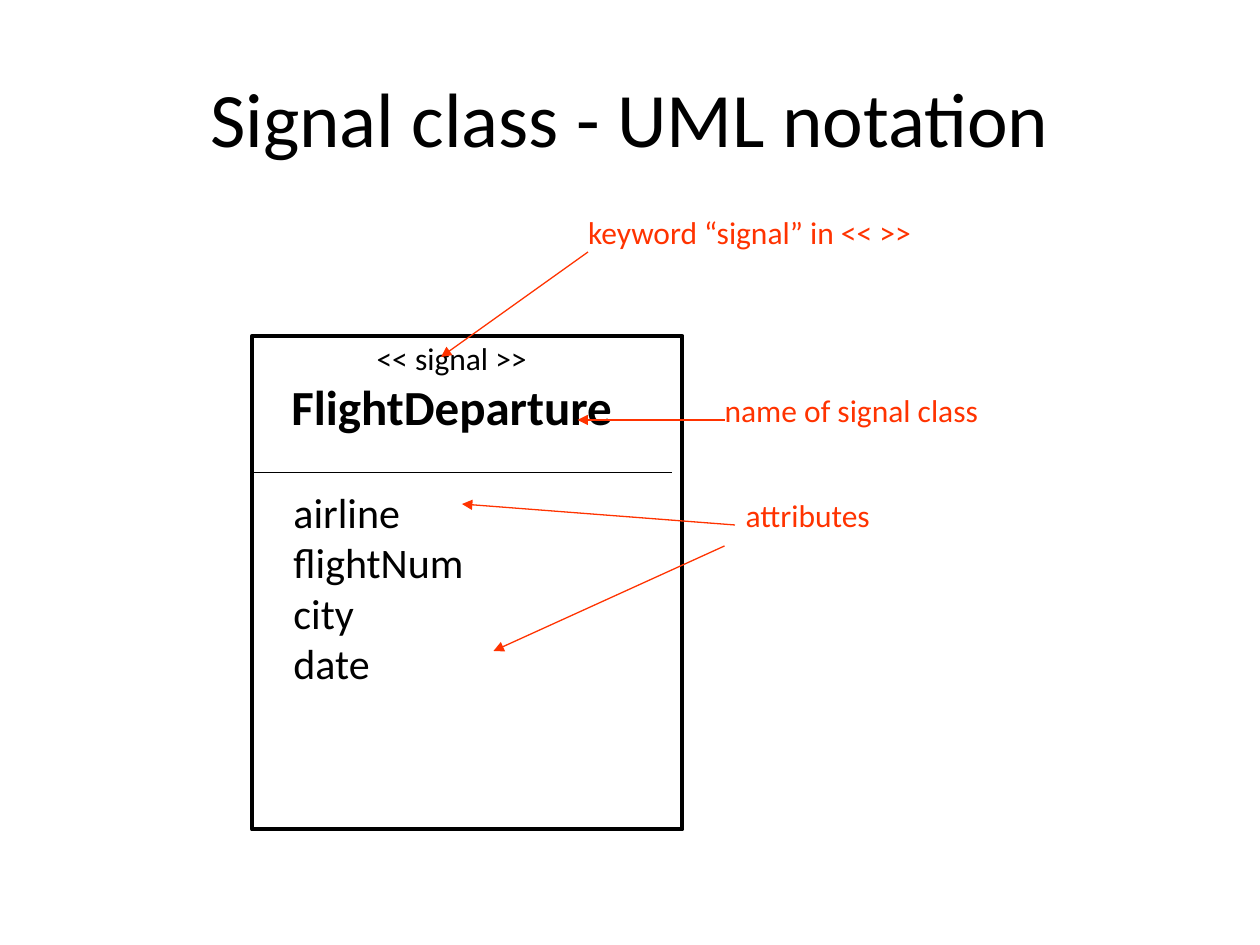
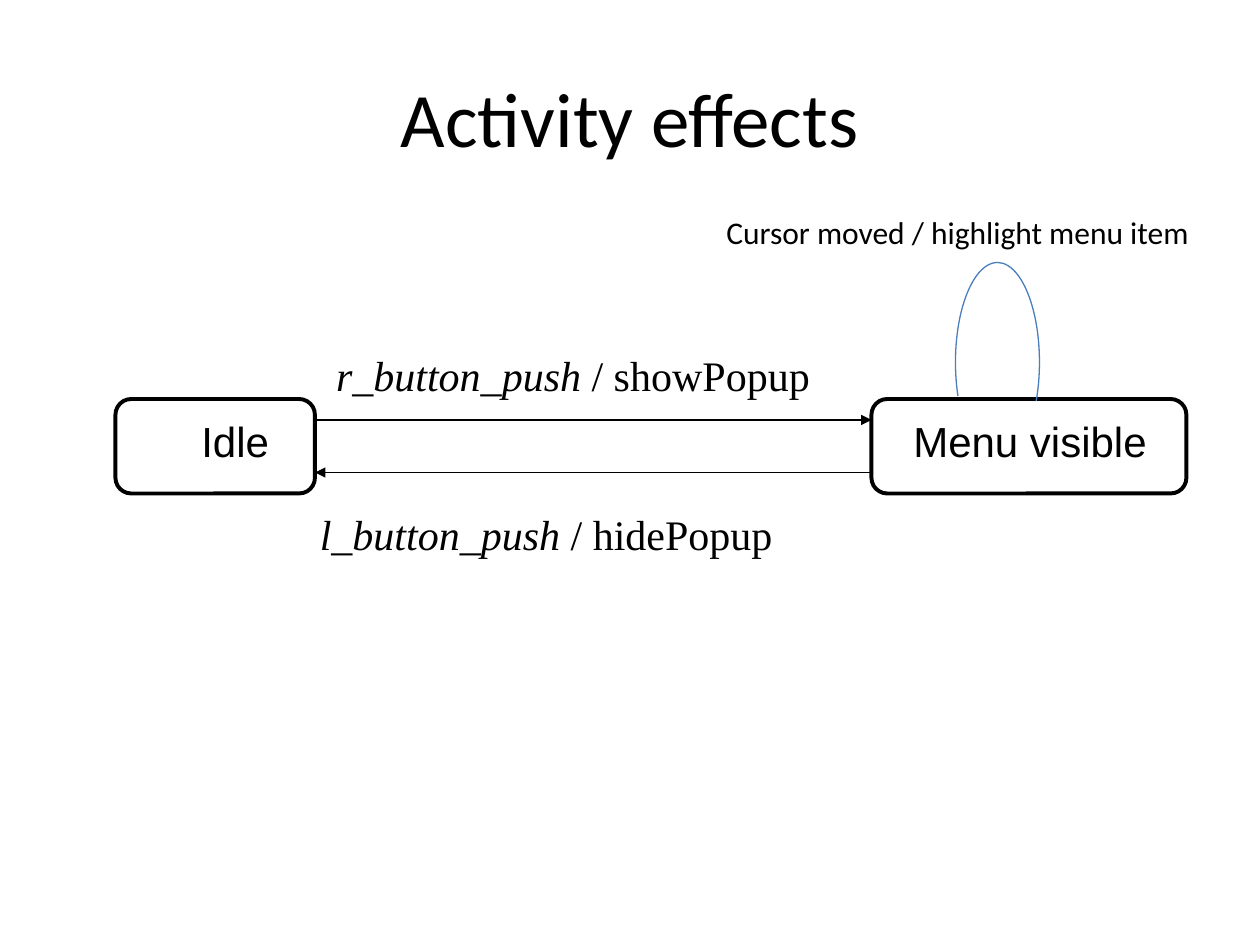
from dataclasses import dataclass

from lxml.etree import SubElement
from pptx import Presentation
from pptx.dml.color import RGBColor
from pptx.enum.shapes import MSO_CONNECTOR, MSO_SHAPE
from pptx.enum.text import MSO_ANCHOR, PP_ALIGN
from pptx.oxml.ns import qn
from pptx.util import Pt


@dataclass(frozen=True)
class Theme:
    """Colours, fonts, type sizes and line widths of the deck."""
    ink: RGBColor = RGBColor(0, 0, 0)
    note: RGBColor = RGBColor(0xFF, 0x33, 0x00)
    loop: RGBColor = RGBColor(0x4B, 0x7E, 0xBC)
    body: str = "Calibri"
    state: str = "Arial"
    event: str = "Times New Roman"
    title_size: int = 44
    name_size: int = 28
    text_size: int = 24
    small_size: int = 18
    thick: float = 2.25
    thin: float = 0.75


T = Theme()
TITLE_BOX = (36, 21.6, 648, 90)


def style(p, size, font=T.body, color=T.ink, bold=False):
    """Format all runs of a paragraph."""
    for r in p.runs:
        f = r.font
        f.size, f.name, f.bold = Pt(size), font, bold
        f.color.rgb = color


def add_titled_slide(prs, title):
    """Add a title-only slide and place its title."""
    s = prs.slides.add_slide(prs.slide_layouts[5])
    sp = s.shapes.title
    sp.left, sp.top, sp.width, sp.height = map(Pt, TITLE_BOX)
    tf = sp.text_frame
    tf.text = title
    tf.vertical_anchor = MSO_ANCHOR.MIDDLE
    p = tf.paragraphs[0]
    p.alignment = PP_ALIGN.CENTER
    style(p, T.title_size)
    return s


def add_outline(s, kind, box, color=T.ink, width=T.thick):
    """Add an unfilled preset shape."""
    sp = s.shapes.add_shape(kind, *map(Pt, box))
    sp.shadow.inherit = False
    sp.fill.background()
    sp.line.color.rgb = color
    sp.line.width = Pt(width)
    return sp


def add_line(s, start, end, color=T.ink, arrow=True):
    """Add a thin straight line, with an arrowhead at its end if asked."""
    c = s.shapes.add_connector(MSO_CONNECTOR.STRAIGHT, *map(Pt, start + end))
    c.line.color.rgb = color
    c.line.width = Pt(T.thin)
    if arrow:
        SubElement(c.line._get_or_add_ln(), qn("a:tailEnd"), type="triangle")
    SubElement(c._element.spPr, qn("a:effectLst"))


def add_label(s, box, text, size, **look):
    """Add a text box and return its paragraphs."""
    tf = s.shapes.add_textbox(*map(Pt, box)).text_frame
    tf.word_wrap = True
    tf.text = text
    for p in tf.paragraphs:
        style(p, size, **look)
    return tf.paragraphs


def add_event(s, box, trigger, effect):
    """Add a transition label: italic trigger, upright effect."""
    p = add_label(s, box, trigger, T.text_size, font=T.event)[0]
    p.add_run().text = effect
    style(p, T.text_size, T.event)
    p.runs[0].font.italic = True


def add_class_box(s, box, keyword, name, attributes):
    """Draw a UML class: keyword and name above a divider, attributes below."""
    x, y, w, h = box
    divider = y + 78
    add_outline(s, MSO_SHAPE.RECTANGLE, box)
    add_line(s, (x, divider), (x + w - 6, divider), arrow=False)
    head = add_label(s, (x + 10.8, y - 2, 206.6, 63.4),
                     f"{keyword}\n{name}", T.small_size)
    for p in head:
        p.alignment = PP_ALIGN.CENTER
    style(head[1], T.name_size, bold=True)
    add_label(s, (x + 16.6, divider + 4.3, 113, 124),
              "\n".join(attributes), T.text_size)


def add_annotation(s, box, text, arrows):
    """Add a coloured remark; arrows are (start, end) offsets from its box."""
    x, y = box[:2]
    add_label(s, box, text, T.small_size, color=T.note)
    for (x1, y1), (x2, y2) in arrows:
        add_line(s, (x + x1, y + y1), (x + x2, y + y2), T.note)


def add_state(s, box, name, indent, width):
    """Draw a rounded state with its name."""
    x, y = box[:2]
    add_outline(s, MSO_SHAPE.ROUNDED_RECTANGLE, box).adjustments[0] = 0.167
    add_label(s, (x + indent, y + 6, width, 36), name, T.text_size,
              font=T.state)


def add_self_transition(s, box, text):
    """Draw a loop on top of a state, with its label above."""
    x, y, w, h = box
    arc = add_outline(s, MSO_SHAPE.ARC, box, T.loop, T.thin)
    arc.adjustments[0], arc.adjustments[1] = 83.7, 27
    add_label(s, (x - 138, y - 32, 288, 29), text, T.small_size)


def signal_slide(prs):
    """Signal class with its parts annotated."""
    s = add_titled_slide(prs, "Signal class - UML notation")
    add_class_box(s, (144, 192, 246, 282), "<< signal >>", "FlightDeparture",
                  ("airline", "flightNum", "city", "date"))
    add_annotation(s, (329, 118, 273, 36), "keyword “signal” in << >>",
                   [((7, 26), (-77, 86))])
    add_annotation(s, (407, 220, 209, 36), "name of signal class",
                   [((7, 20), (-77, 20))])
    add_annotation(s, (419, 280, 104, 36), "attributes",
                   [((1, 20), (-155, 8)), ((-5, 32), (-137, 92))])


def activity_slide(prs):
    """Two states joined by transitions with effects."""
    s = add_titled_slide(prs, "Activity effects")
    idle, menu = (66, 228, 114, 54), (498, 228, 180, 54)
    add_state(s, idle, "Idle", 42, 56)
    add_state(s, menu, "Menu visible", 16.8, 158)
    left, right, top = idle[0] + idle[2], menu[0], idle[1]
    add_line(s, (left, top + 12), (right, top + 12))
    add_line(s, (right, top + 42), (left, top + 42))
    add_event(s, (left + 5, top - 32, 288, 36), "r_button_push ", "/ showPopup")
    add_event(s, (left - 4.3, top + 59.3, 310, 36), "l_button_push ",
              "/ hidePopup")
    add_self_transition(s, (right + 48, top - 78, 48, 114),
                        "Cursor moved / highlight menu item")


prs = Presentation()
prs.slide_width, prs.slide_height = Pt(720), Pt(540)
signal_slide(prs)
activity_slide(prs)
prs.save("out.pptx")
